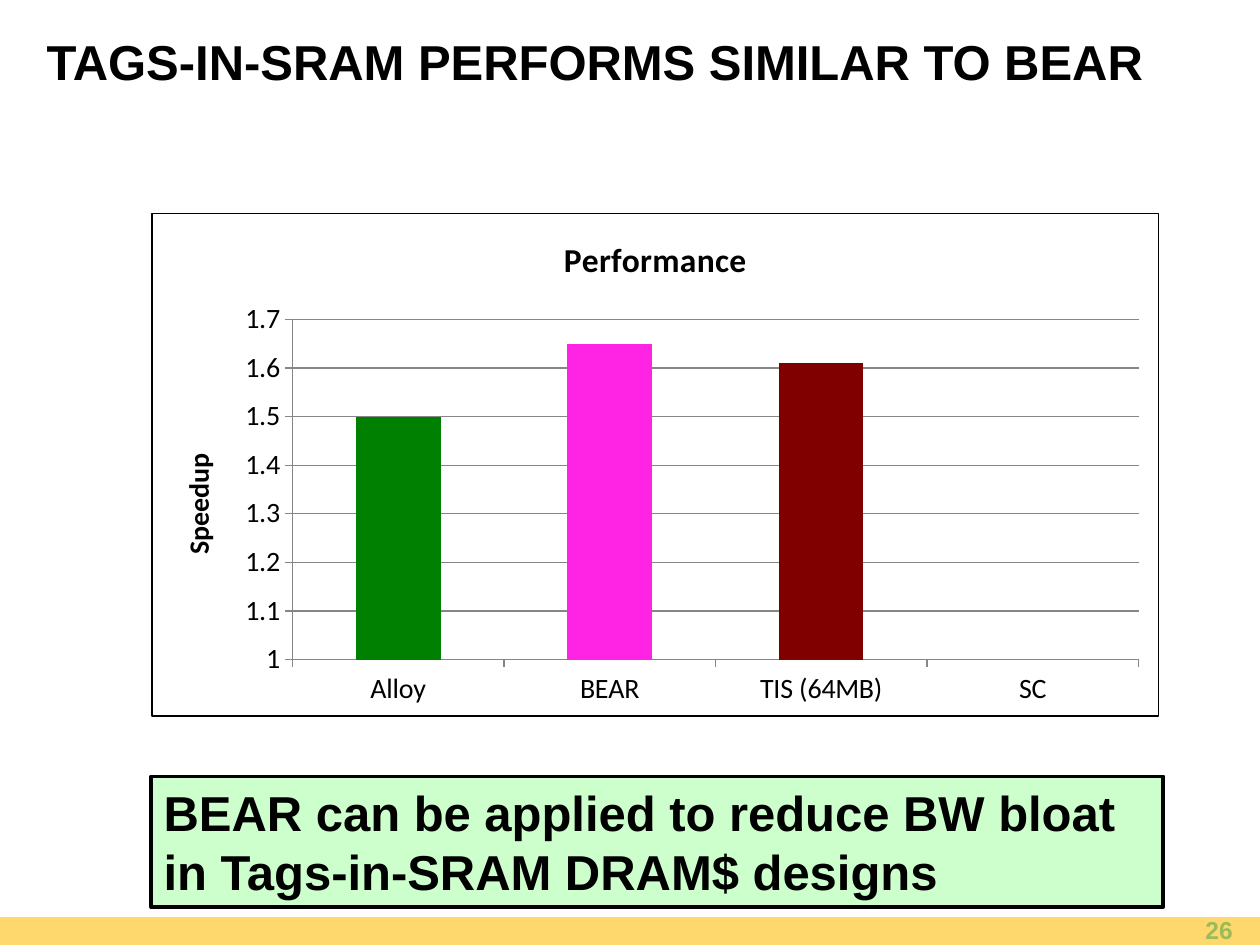
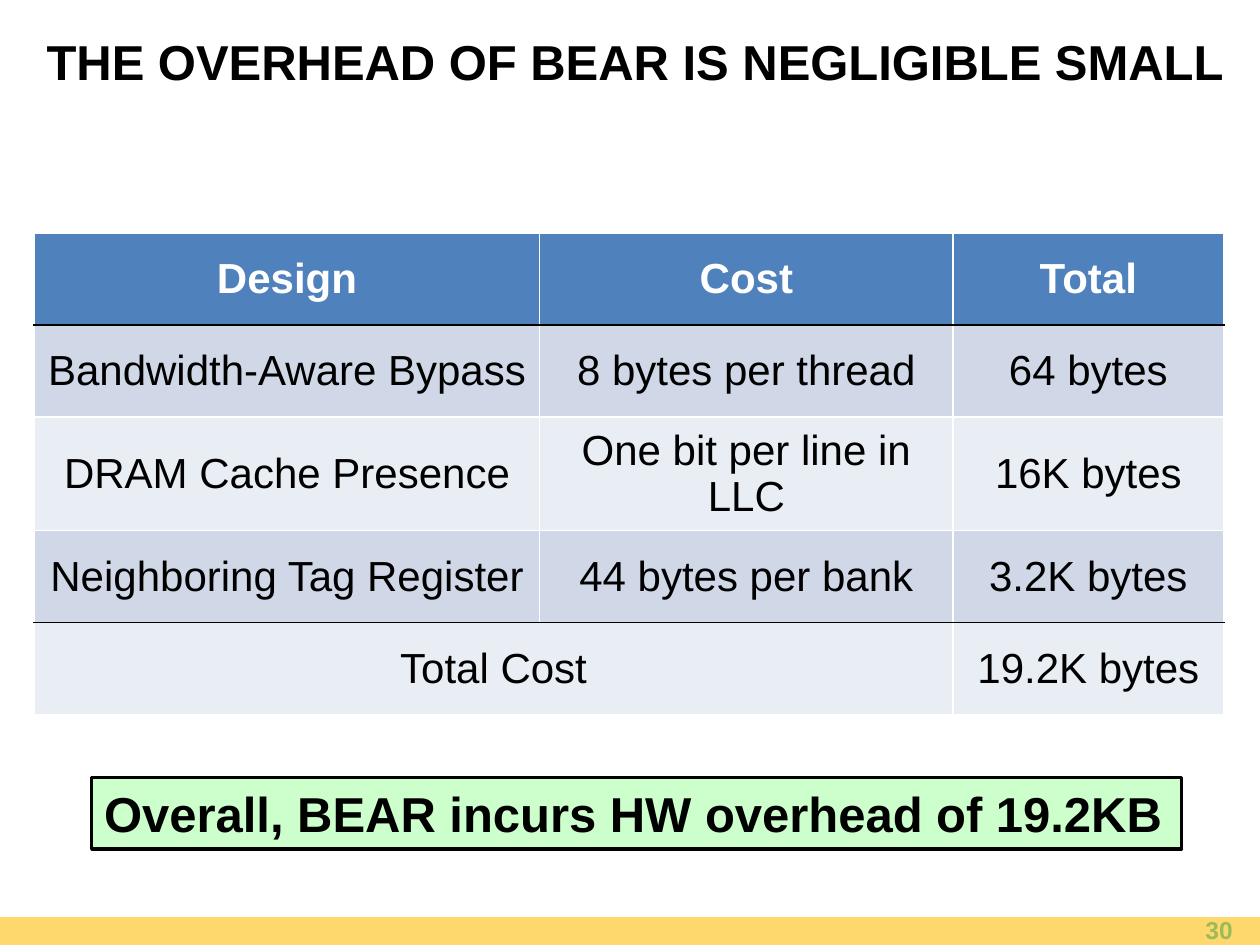
from dataclasses import dataclass

from lxml import etree
from pptx import Presentation
from pptx.chart.data import CategoryChartData
from pptx.dml.color import RGBColor
from pptx.enum.chart import XL_CHART_TYPE, XL_TICK_MARK
from pptx.enum.shapes import MSO_SHAPE
from pptx.enum.text import MSO_ANCHOR, PP_ALIGN
from pptx.oxml import parse_xml
from pptx.oxml.ns import nsdecls, qn
from pptx.slide import Slide
from pptx.util import Cm, Pt

BLACK = RGBColor(0x00, 0x00, 0x00)
WHITE = RGBColor(0xFF, 0xFF, 0xFF)
BAND_YELLOW = RGBColor(0xFF, 0xD8, 0x6D)
NUMBER_GREEN = RGBColor(0x9B, 0xBB, 0x59)
TAKEAWAY_GREEN = RGBColor(0xCC, 0xFF, 0xCC)
HEADER_BLUE = RGBColor(0x4F, 0x81, 0xBD)
ROW_DARK = RGBColor(0xD0, 0xD8, 0xE8)
ROW_LIGHT = RGBColor(0xE9, 0xED, 0xF4)
AXIS_GRAY = RGBColor(0x86, 0x86, 0x86)
ALLOY_GREEN = RGBColor(0x00, 0x80, 0x00)
BEAR_PINK = RGBColor(0xFF, 0x23, 0xE3)
TIS_MAROON = RGBColor(0x80, 0x00, 0x00)

TEXT_FONT = "Arial"
CHART_FONT = "Calibri"
LEFT, CENTER, RIGHT = PP_ALIGN.LEFT, PP_ALIGN.CENTER, PP_ALIGN.RIGHT
TOP, MIDDLE = MSO_ANCHOR.TOP, MSO_ANCHOR.MIDDLE
RECTANGLE = MSO_SHAPE.RECTANGLE
COLUMN_CLUSTERED = XL_CHART_TYPE.COLUMN_CLUSTERED
TICK_OUTSIDE = XL_TICK_MARK.OUTSIDE


@dataclass(frozen=True)
class Box:
    """A place on the slide, in centimetres."""
    left: float
    top: float
    width: float
    height: float

    def lengths(self) -> tuple[Cm, Cm, Cm, Cm]:
        return Cm(self.left), Cm(self.top), Cm(self.width), Cm(self.height)


@dataclass(frozen=True)
class Bar:
    category: str
    value: float | None
    color: RGBColor | None


@dataclass(frozen=True)
class Page:
    title: str
    number: str
    takeaway: str
    takeaway_box: Box


SLIDE_BOX = Box(0, 0, 25.4, 19.05)
TITLE_BOX = Box(0.69, 0.56, 24.36, 1.35)
BAND_BOX = Box(0, 18.49, 25.4, 0.56)
NUMBER_BOX = Box(19.18, 18.42, 5.92, 0.66)
CHART_BOX = Box(3.05, 4.29, 20.32, 10.16)
TABLE_BOX = Box(0.69, 4.7, 23.98, 9.27)

PERFORMANCE_PAGE = Page(
    "TAGS-IN-SRAM PERFORMS SIMILAR TO BEAR", "26",
    "BEAR can be applied to reduce BW bloat in Tags-in-SRAM DRAM$ designs",
    Box(3.05, 15.65, 20.4, 2.64))
OVERHEAD_PAGE = Page(
    "THE OVERHEAD OF BEAR IS NEGLIGIBLE SMALL", "30",
    "Overall, BEAR incurs HW overhead of 19.2KB",
    Box(1.85, 15.67, 21.97, 1.45))

BARS = [
    Bar("Alloy", 1.5, ALLOY_GREEN),
    Bar("BEAR", 1.65, BEAR_PINK),
    Bar("TIS (64MB)", 1.61, TIS_MAROON),
    Bar("SC", None, None),
]

COLUMN_WIDTHS = [10.19, 8.33, 5.46]
COST_ROWS = [
    ("Design", "Cost", "Total"),
    ("Bandwidth-Aware Bypass", "8 bytes per thread", "64 bytes"),
    ("DRAM Cache Presence", "One bit per line in LLC", "16K bytes"),
    ("Neighboring Tag Register", "44 bytes per bank", "3.2K bytes"),
    ("Total Cost", "", "19.2K bytes"),
]
RULED_ROWS = {0, 3}  # rows with a black line below


def write_text(frame, text: str, *, size: float, font: str = TEXT_FONT,
               color: RGBColor = BLACK, bold: bool = True,
               align: PP_ALIGN = LEFT, anchor: MSO_ANCHOR | None = None) -> None:
    if anchor is not None:
        frame.word_wrap = True
        frame.vertical_anchor = anchor
    paragraph = frame.paragraphs[0]
    paragraph.alignment = align
    run = paragraph.add_run()
    run.text = text
    run.font.name = font
    run.font.size = Pt(size)
    run.font.bold = bold
    run.font.color.rgb = color


def add_rectangle(slide: Slide, box: Box, fill: RGBColor,
                  line_width: float = 0):
    shape = slide.shapes.add_shape(RECTANGLE, *box.lengths())
    shape.shadow.inherit = False
    shape.fill.solid()
    shape.fill.fore_color.rgb = fill
    if line_width:
        shape.line.color.rgb = BLACK
        shape.line.width = Pt(line_width)
    else:
        shape.line.fill.background()
    return shape


def add_page(presentation, page: Page) -> Slide:
    """Add a slide with its band, title, number and takeaway."""
    slide = presentation.slides.add_slide(presentation.slide_layouts[6])
    add_rectangle(slide, BAND_BOX, BAND_YELLOW)
    title = slide.shapes.add_textbox(*TITLE_BOX.lengths())
    write_text(title.text_frame, page.title, size=28, anchor=MIDDLE)
    number = slide.shapes.add_textbox(*NUMBER_BOX.lengths())
    write_text(number.text_frame, page.number, size=14, color=NUMBER_GREEN,
               align=RIGHT, anchor=MIDDLE)
    takeaway = add_rectangle(slide, page.takeaway_box, TAKEAWAY_GREEN, line_width=2)
    write_text(takeaway.text_frame, page.takeaway, size=28, anchor=TOP)
    return slide


def frame_chart(chart) -> None:
    """Give the chart area a white fill and a thin black border."""
    area = parse_xml(
        f'<c:spPr {nsdecls("c", "a")}>'
        f'<a:solidFill><a:srgbClr val="{WHITE}"/></a:solidFill>'
        f'<a:ln w="{Pt(0.75)}"><a:solidFill><a:srgbClr val="{BLACK}"/>'
        '</a:solidFill></a:ln></c:spPr>')
    chart.element.find(qn("c:txPr")).addprevious(area)


def add_performance_chart(slide: Slide) -> None:
    data = CategoryChartData(number_format="General")
    data.categories = [bar.category for bar in BARS]
    data.add_series("Performance", [bar.value for bar in BARS])
    chart = slide.shapes.add_chart(COLUMN_CLUSTERED, *CHART_BOX.lengths(), data).chart
    chart.font.name = CHART_FONT
    chart.font.size = Pt(16)
    chart.font.color.rgb = BLACK
    frame_chart(chart)
    chart.has_legend = False
    chart.has_title = True
    write_text(chart.chart_title.text_frame, "Performance", size=19.2,
               font=CHART_FONT, align=CENTER)
    chart.chart_title.include_in_layout = False

    value_axis = chart.value_axis
    value_axis.minimum_scale = 1
    value_axis.maximum_scale = 1.7
    value_axis.major_unit = 0.1
    value_axis.has_major_gridlines = True
    write_text(value_axis.axis_title.text_frame, "Speedup", size=16,
               font=CHART_FONT, align=CENTER)
    for axis in (chart.category_axis, value_axis):
        axis.major_tick_mark = TICK_OUTSIDE
    for line in (chart.category_axis.format.line, value_axis.format.line,
                 value_axis.major_gridlines.format.line):
        line.color.rgb = AXIS_GRAY
        line.width = Pt(0.75)

    plot = chart.plots[0]
    plot.gap_width = 150
    plot.vary_by_categories = False
    series = plot.series[0]
    series.format.fill.solid()
    series.format.fill.fore_color.rgb = HEADER_BLUE
    for index, bar in enumerate(BARS):
        if bar.color is not None:
            fill = series.points[index].format.fill
            fill.solid()
            fill.fore_color.rgb = bar.color


def set_border(cell, side: str, color: RGBColor) -> None:
    properties = cell._tc.get_or_add_tcPr()
    line = etree.SubElement(properties, qn(f"a:ln{side}"), w=str(Pt(1)))
    fill = etree.SubElement(line, qn("a:solidFill"))
    etree.SubElement(fill, qn("a:srgbClr"), val=str(color))


def format_cost_cell(cell, row: int) -> None:
    """Draw the borders first, since the fill must follow them in the XML."""
    top = BLACK if row - 1 in RULED_ROWS else WHITE
    bottom = BLACK if row in RULED_ROWS else WHITE
    for side, color in zip("LRTB", (WHITE, WHITE, top, bottom)):
        set_border(cell, side, color)
    cell.fill.solid()
    if row == 0:
        cell.fill.fore_color.rgb = HEADER_BLUE
    else:
        cell.fill.fore_color.rgb = ROW_DARK if row % 2 else ROW_LIGHT
    cell.vertical_anchor = MIDDLE


def add_cost_table(slide: Slide) -> None:
    table = slide.shapes.add_table(len(COST_ROWS), len(COLUMN_WIDTHS),
                                   *TABLE_BOX.lengths()).table
    for column, width in zip(table.columns, COLUMN_WIDTHS):
        column.width = Cm(width)
    for row, texts in enumerate(COST_ROWS):
        for column, text in enumerate(texts):
            cell = table.cell(row, column)
            format_cost_cell(cell, row)
            if text:
                write_text(cell.text_frame, text, size=24, bold=row == 0,
                           color=WHITE if row == 0 else BLACK, align=CENTER)
    last_row = len(COST_ROWS) - 1
    table.cell(last_row, 0).merge(table.cell(last_row, 1))


def main() -> None:
    presentation = Presentation()
    presentation.slide_width = Cm(SLIDE_BOX.width)
    presentation.slide_height = Cm(SLIDE_BOX.height)
    add_performance_chart(add_page(presentation, PERFORMANCE_PAGE))
    add_cost_table(add_page(presentation, OVERHEAD_PAGE))
    presentation.save("out.pptx")


if __name__ == "__main__":
    main()
